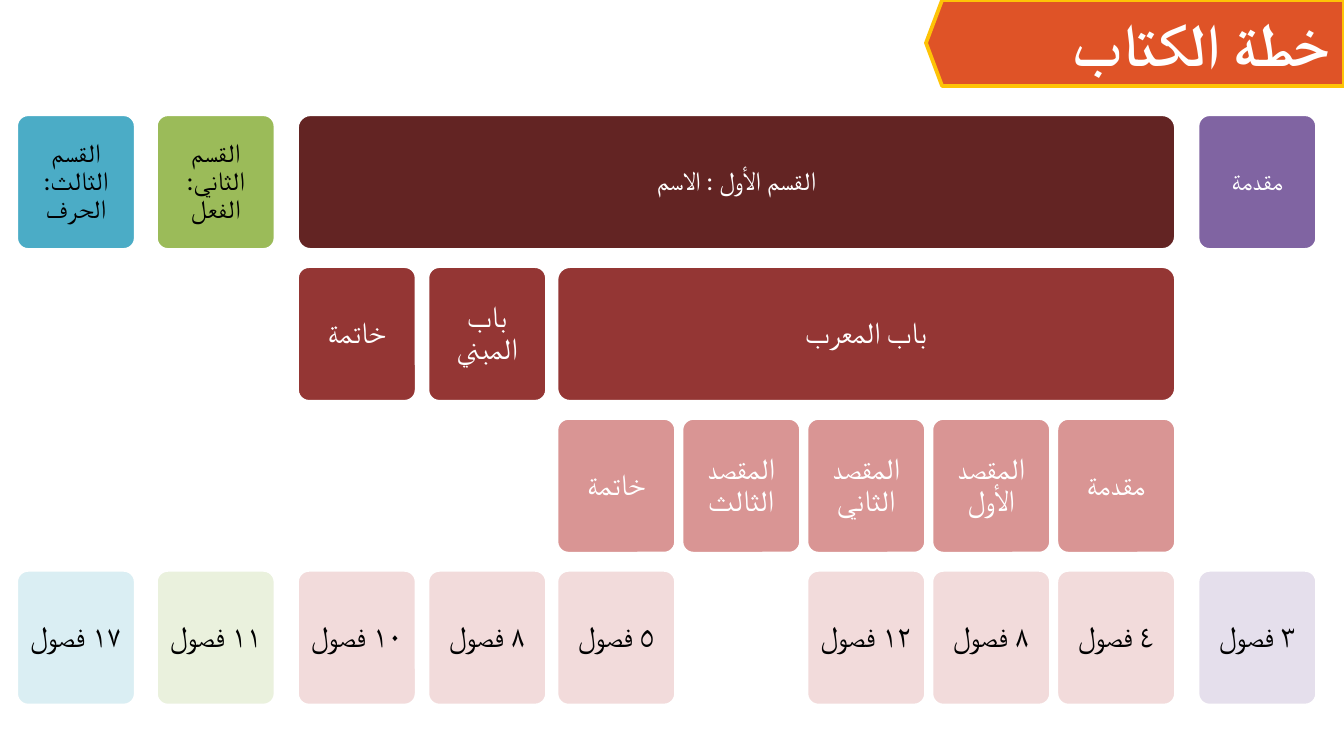
from itertools import accumulate

from lxml import etree
from pptx import Presentation
from pptx.dml.color import RGBColor
from pptx.enum.shapes import MSO_SHAPE
from pptx.enum.text import MSO_ANCHOR, PP_ALIGN
from pptx.oxml.ns import qn
from pptx.util import Inches, Pt

ROUNDED = MSO_SHAPE.ROUNDED_RECTANGLE
PENTAGON = MSO_SHAPE.PENTAGON
MIDDLE = MSO_ANCHOR.MIDDLE
CENTER, RIGHT = PP_ALIGN.CENTER, PP_ALIGN.RIGHT

THEME = {
    "font": "Calibri",
    "title size": 32, "section size": 14, "body size": 16,
    "white": "FFFFFF", "black": "000000",
    "orange": "DF5327", "gold": "FEC306",
    "purple": "8064A2", "pale purple": "E5DFEC",
    "maroon": "632423", "red": "943634", "rose": "D99594", "pale rose": "F2DBDB",
    "green": "9BBB59", "pale green": "EAF1DD",
    "teal": "4BACC6", "pale teal": "DAEEF3",
}


def color(name):
    return RGBColor.from_string(THEME[name])


def add_box(kind, left, top, width, height, fill, line, text, size, ink, align):
    """Add a filled, outlined shape with one right-to-left paragraph."""
    box = page.shapes.add_shape(kind, Inches(left), Inches(top), Inches(width), Inches(height))
    box.shadow.inherit = False
    box.fill.solid()
    box.fill.fore_color.rgb = color(fill)
    box.line.color.rgb = color(line)
    box.line.width = Pt(2)
    box.text_frame.word_wrap = True
    box.text_frame.vertical_anchor = MIDDLE
    para = box.text_frame.paragraphs[0]
    para.text = text
    para.alignment = align
    para.font.name = THEME["font"]
    para.font.size = Pt(THEME[size])
    para.font.color.rgb = color(ink)
    # Right-to-left direction and the font for Arabic letters
    properties = para._p.get_or_add_pPr()
    properties.set("rtl", "1")
    arabic = etree.SubElement(properties.find(qn("a:defRPr")), qn("a:cs"))
    arabic.set("typeface", THEME["font"])
    return box


# Widescreen page, 16 by 9
deck = Presentation()
deck.slide_width = Inches(10)
deck.slide_height = Inches(10 * 9 / 16)
page = deck.slides.add_slide(deck.slide_layouts[6])

# Title banner, pointing left
banner = add_box(PENTAGON, 6.89, 0, 3.11, 0.64, "orange", "gold",
                 "خطة الكتاب", "title size", "white", RIGHT)
banner.adjustments[0] = 0.187
banner.text_frame.paragraphs[0].font.bold = True
banner._element.spPr.find(qn("a:xfrm")).set("flipH", "1")

# Grid: ten columns, with wider gaps between sections than inside them
CELL_WIDTH, CELL_HEIGHT = 0.89, 1.01
lefts = list(accumulate([0.12, 1.04, 1.05, 0.97, 0.96] + [0.93] * 4 + [1.05]))
ROW_TOP, ROW_STEP = 0.85, 1.13

# Row, first column, last column, fill, ink, text
cells = [
    (0, 9, 9, "purple", "white", "مقدمة"),
    (0, 2, 8, "maroon", "white", "القسم الأول : الاسم"),
    (0, 1, 1, "green", "black", "القسم الثاني: الفعل"),
    (0, 0, 0, "teal", "black", "القسم الثالث: الحرف"),
    (1, 4, 8, "red", "white", "باب المعرب"),
    (1, 3, 3, "red", "white", "باب المبني"),
    (1, 2, 2, "red", "white", "خاتمة"),
]
parts = ["مقدمة", "المقصد الأول", "المقصد الثاني", "المقصد الثالث", "خاتمة"]
for column, part in zip(range(8, 3, -1), parts):
    cells.append((2, column, column, "rose", "white", part))

# Chapter counts along the bottom row
counts = {9: "٣", 8: "٤", 7: "٨", 6: "١٢", 4: "٥", 3: "٨", 2: "١٠", 1: "١١", 0: "١٧"}
pale_fills = {9: "pale purple", 1: "pale green", 0: "pale teal"}
for column, count in counts.items():
    fill = pale_fills.get(column, "pale rose")
    cells.append((3, column, column, fill, "black", f"{count} فصول"))

# Draw every cell of the plan
for row, first, last, fill, ink, text in cells:
    size = "section size" if row == 0 else "body size"
    width = lefts[last] - lefts[first] + CELL_WIDTH
    box = add_box(ROUNDED, lefts[first], ROW_TOP + row * ROW_STEP, width, CELL_HEIGHT,
                  fill, "white", text, size, ink, CENTER)
    box.adjustments[0] = 0.1
    frame = box.text_frame
    margin = Inches(0.06 if row == 0 else 0.07)
    frame.margin_left = frame.margin_right = frame.margin_top = frame.margin_bottom = margin
    frame.paragraphs[0].line_spacing = 0.9

deck.save("out.pptx")
